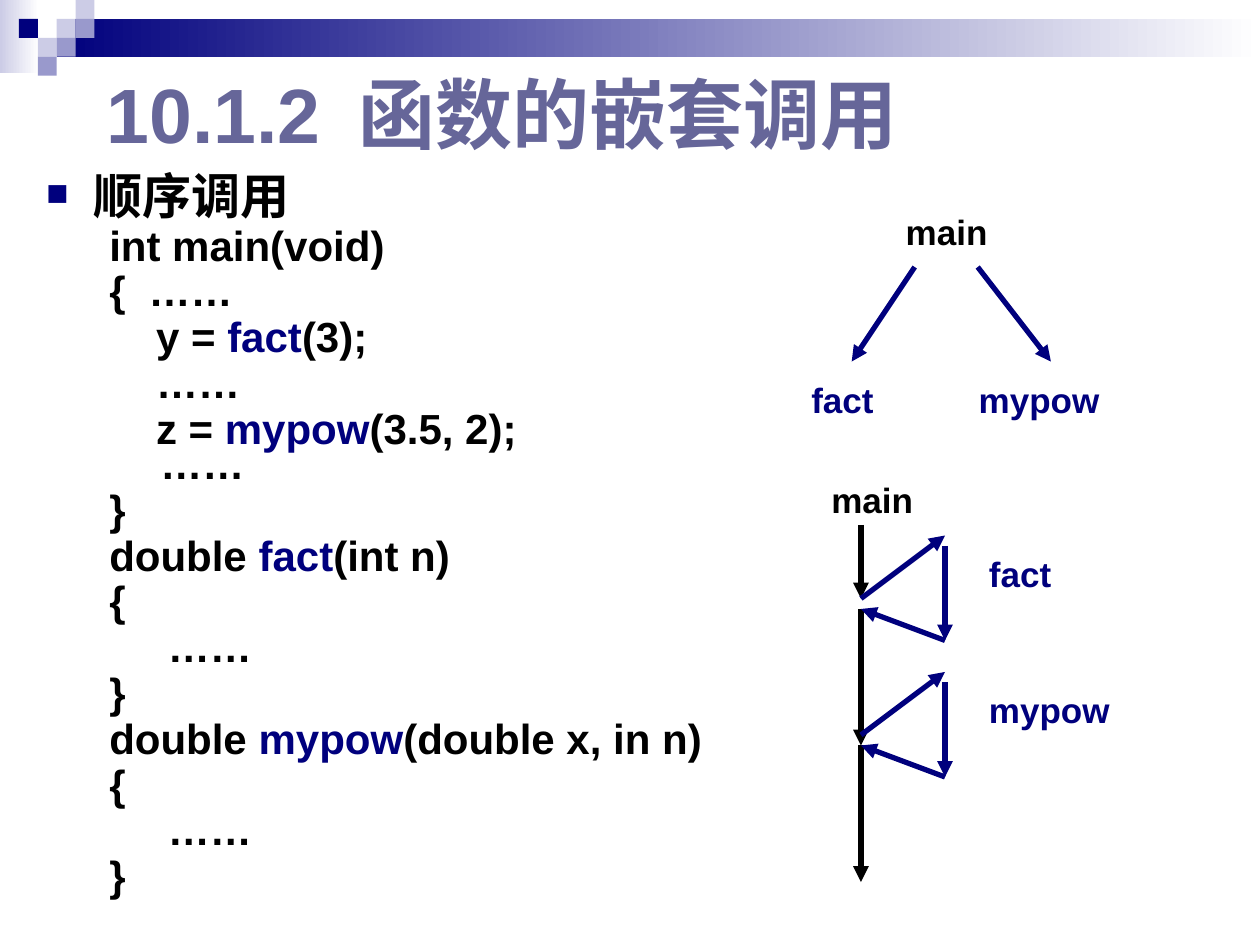
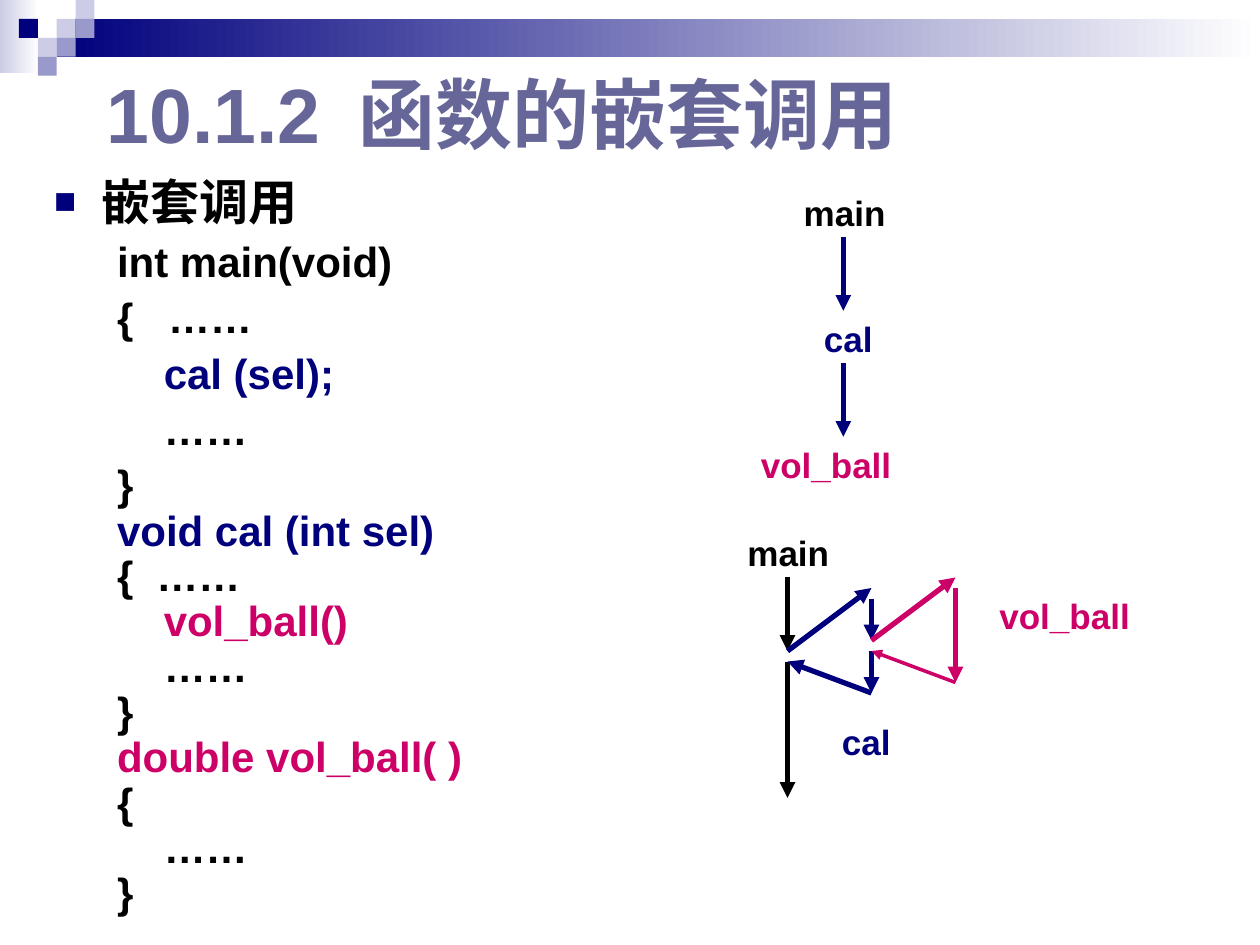
"""Build two slides on sequential and nested function calls."""
from dataclasses import dataclass

from lxml import etree
from pptx import Presentation
from pptx.dml.color import RGBColor
from pptx.enum import shapes, text
from pptx.oxml.ns import qn
from pptx.util import Pt


@dataclass(frozen=True)
class Theme:
    font: str = "Arial"
    black: str = "000000"
    white: str = "FFFFFF"
    navy: str = "00007D"
    pink: str = "CC0066"
    slate: str = "666699"
    mid: str = "9999CC"
    pale: str = "CCCCE6"
    title: int = 44
    head: int = 28
    code: int = 24
    label: int = 20


T = Theme()
CELL = 10.8
STEP = 26.7
DEEP = 33.4
DOTS = "……"


def rgb(tone):
    return RGBColor.from_string(tone)


def style(run, size, tone):
    font = run.font
    font.name, font.size, font.bold = T.font, Pt(size), True
    font.color.rgb = rgb(tone)


def node(parent, tag, **attrs):
    return etree.SubElement(parent, qn(tag), attrs)


def block(slide, left, top, wide, high, tone, end=None):
    box = slide.shapes.add_shape(
        shapes.MSO_SHAPE.RECTANGLE, Pt(left), Pt(top), Pt(wide), Pt(high))
    box.shadow.inherit = False
    box.line.fill.background()
    if end:
        box.fill.gradient()
        box.fill.gradient_angle = 0
        for stop, hue in zip(box.fill.gradient_stops, (tone, end)):
            stop.color.rgb = rgb(hue)
    else:
        box.fill.solid()
        box.fill.fore_color.rgb = rgb(tone)


def frame(slide, left, top, wide, high):
    area = slide.shapes.add_textbox(Pt(left), Pt(top), Pt(wide), Pt(high)).text_frame
    area.word_wrap = True
    return area


def label(slide, left, top, wide, words, tone):
    area = frame(slide, left, top, wide, 31.5)
    area.text = words
    style(area.paragraphs[0].runs[0], T.label, tone)


def arrow(slide, start, end, tone, width=3):
    line = slide.shapes.add_connector(
        shapes.MSO_CONNECTOR.STRAIGHT, *(Pt(v) for v in (*start, *end)))
    line.line.color.rgb = rgb(tone)
    line.line.width = Pt(width)
    node(line.line._get_or_add_ln(), "a:tailEnd", type="triangle")
    node(line._element.spPr, "a:effectLst")


def loop(slide, x, y, tone, back=3, split=False):
    """Draw a call out to the right, its run downwards and its return."""
    side = x + 48
    arrow(slide, (x, y), (side, y - 36), tone)
    if split:
        arrow(slide, (side, y - 30), (side, y - 6), tone)
        arrow(slide, (side, y), (side, y + 24), tone)
    else:
        arrow(slide, (side, y - 30), (side, y + 24), tone)
    arrow(slide, (side, y + 24), (x, y + 6), tone, back)


def band(slide):
    block(slide, 0, 0, 22.3, 41.8, T.pale, T.white)
    block(slide, 32.4, CELL, 687.6, 2 * CELL, T.navy, T.white)
    cells = ((3, 1, T.pale), (4, 0, T.pale), (4, 1, T.mid), (2, 2, T.pale),
             (1, 1, T.navy), (3, 2, T.mid), (2, 3, T.mid))
    for col, row, tone in cells:
        block(slide, col * CELL, row * CELL, CELL, CELL, tone)


def title(slide):
    area = frame(slide, 54, 34.6, 486, 59.8)
    area.vertical_anchor = text.MSO_ANCHOR.MIDDLE
    area.text = "10.1.2\t函数的嵌套调用"
    para = area.paragraphs[0]
    style(para.runs[0], T.title, T.slate)
    tabs = node(para._p.get_or_add_pPr(), "a:tabLst")
    node(tabs, "a:tab", pos=str(Pt(144)), algn="l")


def indent(para, left, first):
    props = para._p.get_or_add_pPr()
    props.set("marL", str(Pt(left)))
    props.set("indent", str(Pt(first)))
    return props


def head(para, words):
    para.text = words
    style(para.runs[0], T.head, T.black)
    props = indent(para, 27, -27)
    node(node(props, "a:buClr"), "a:srgbClr", val=T.navy)
    node(props, "a:buSzPct", val="75000")
    node(props, "a:buFont", typeface=T.font)
    node(props, "a:buChar", char="■")


def code(para, step, parts, hang=22.5):
    """Fill a code line; parts are plain words or (words, colour) pairs."""
    for part in parts:
        words, tone = (part, T.black) if isinstance(part, str) else part
        if words == "\v":
            para.add_line_break()
            continue
        run = para.add_run()
        run.text = words
        style(run, T.code, tone)
    node(indent(para, 36 + hang, step - hang), "a:buNone")


def body(slide, box, words, lines, pitch, loose):
    """Write the heading and code; the first loose lines get space before."""
    area = frame(slide, *box)
    para = area.paragraphs[0]
    para.line_spacing, para.space_before = pitch, Pt(7)
    head(para, words)
    for num, line in enumerate(lines):
        para = area.add_paragraph()
        para.line_spacing = pitch
        para.space_before = Pt(6 if num < loose else 0)
        code(para, *line)


def serial(slide):
    fact, power = ("fact", T.navy), ("mypow", T.navy)
    lines = [
        (0, ["int main(void)"]),
        (0, ["{\t" + DOTS]),
        (STEP, ["y = ", fact, "(3);"]),
        (STEP, [DOTS]),
        (STEP, ["z = ", power, "(3.5, 2);", "\v", DOTS], 29.2),
        (0, ["}"]),
        (0, ["double ", fact, "(int n)"]),
        (0, ["{"]),
        (DEEP, [DOTS]),
        (0, ["}"]),
        (0, ["double ", power, "(double x, in n)"]),
        (0, ["{"]),
        (DEEP, [DOTS]),
        (0, ["}"]),
    ]
    body(slide, (19.4, 100, 396.7, 425.5), "顺序调用", lines, 0.7, len(lines))
    for spot in ((510.5, 116.6, 78, "main", T.black),
                 (456.5, 213, 54, *fact), (552.2, 213, 102, *power),
                 (468, 270, 78, "main", T.black),
                 (558, 312, 54, *fact), (558, 390, 96, *power)):
        label(slide, *spot)
    arrow(slide, (522.7, 152.6), (486.7, 206.6), T.navy)
    arrow(slide, (558.7, 152.6), (600.5, 206.6), T.navy)
    for top, end in ((300, 342), (348, 426), (426, 504)):
        arrow(slide, (492, top), (492, end), T.black)
    for y in (342, 420):
        loop(slide, 492, y, T.navy)


def nested(slide):
    cal, ball = ("cal", T.navy), ("vol_ball", T.pink)
    lines = [
        (0, ["int main(void)"]),
        (0, ["{\t" + DOTS], 29.2),
        (STEP, [("cal (sel);", T.navy)]),
        (STEP, [DOTS]),
        (0, ["}"]),
        (0, [("void cal (int sel)", T.navy)]),
        (0, ["{\t" + DOTS]),
        (STEP, [("vol_ball()", T.pink)]),
        (STEP, [DOTS]),
        (0, ["}"]),
        (0, [("double vol_ball( )", T.pink)]),
        (0, ["{"]),
        (STEP, [DOTS]),
        (0, ["}"]),
    ]
    body(slide, (23.8, 98, 291, 433.4), "嵌套调用", lines, 0.9, 5)
    for spot in ((452.2, 105.8, 78, "main", T.black),
                 (463.7, 177.8, 48, *cal), (427.7, 249.8, 102, *ball),
                 (420, 300, 78, "main", T.black),
                 (474, 408, 48, *cal), (564, 336, 108, *ball)):
        label(slide, *spot)
    for top in (135.6, 207.6):
        arrow(slide, (481.9, top), (481.9, top + 42), T.navy)
    for top, end in ((330, 372), (378, 456)):
        arrow(slide, (450, top), (450, end), T.black)
    loop(slide, 450, 372, T.navy, split=True)
    loop(slide, 498, 366, T.pink, back=2)


def main():
    deck = Presentation()
    deck.slide_width, deck.slide_height = Pt(720), Pt(540)
    for fill in (serial, nested):
        slide = deck.slides.add_slide(deck.slide_layouts[6])
        band(slide)
        title(slide)
        fill(slide)
    deck.save("out.pptx")


if __name__ == "__main__":
    main()
